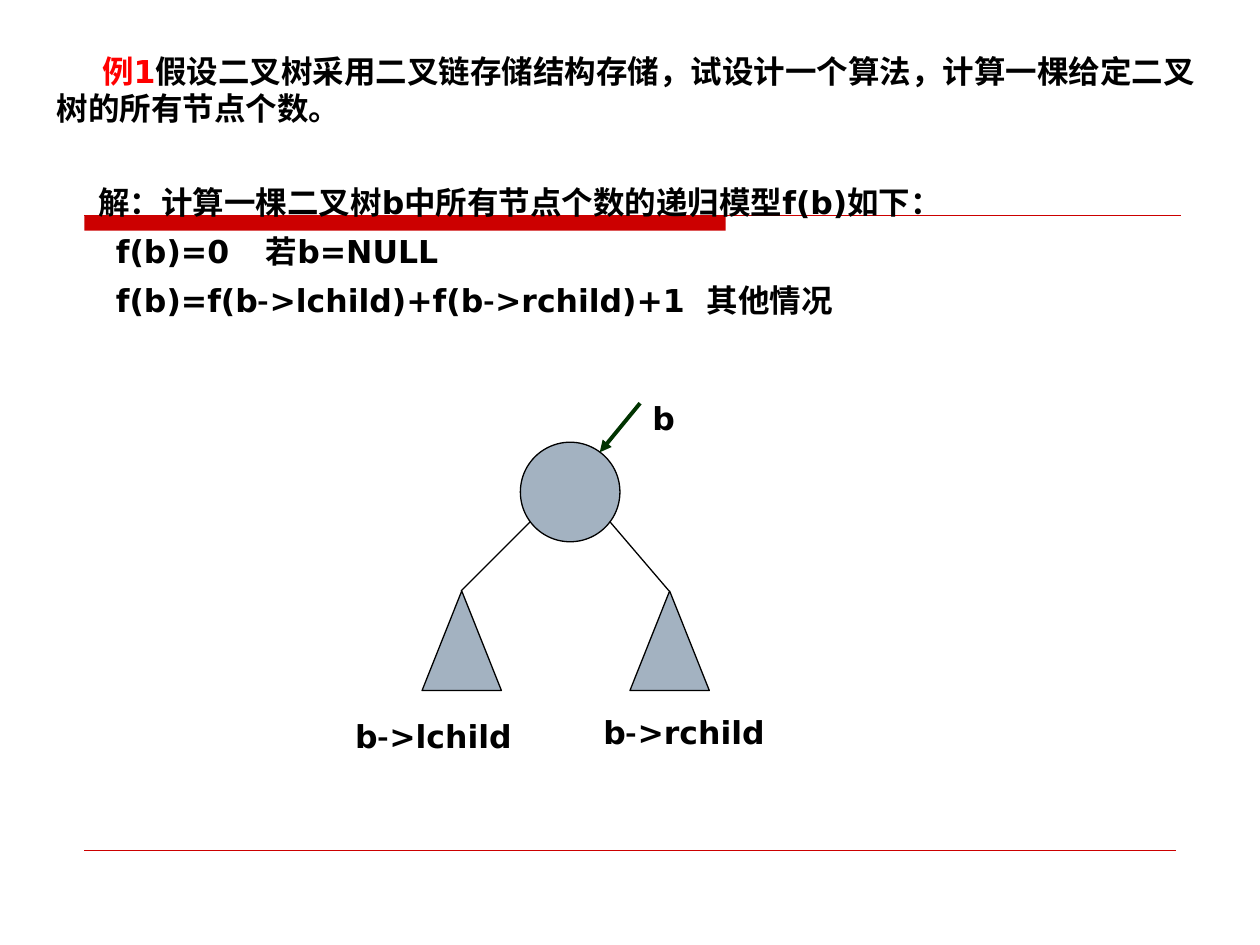
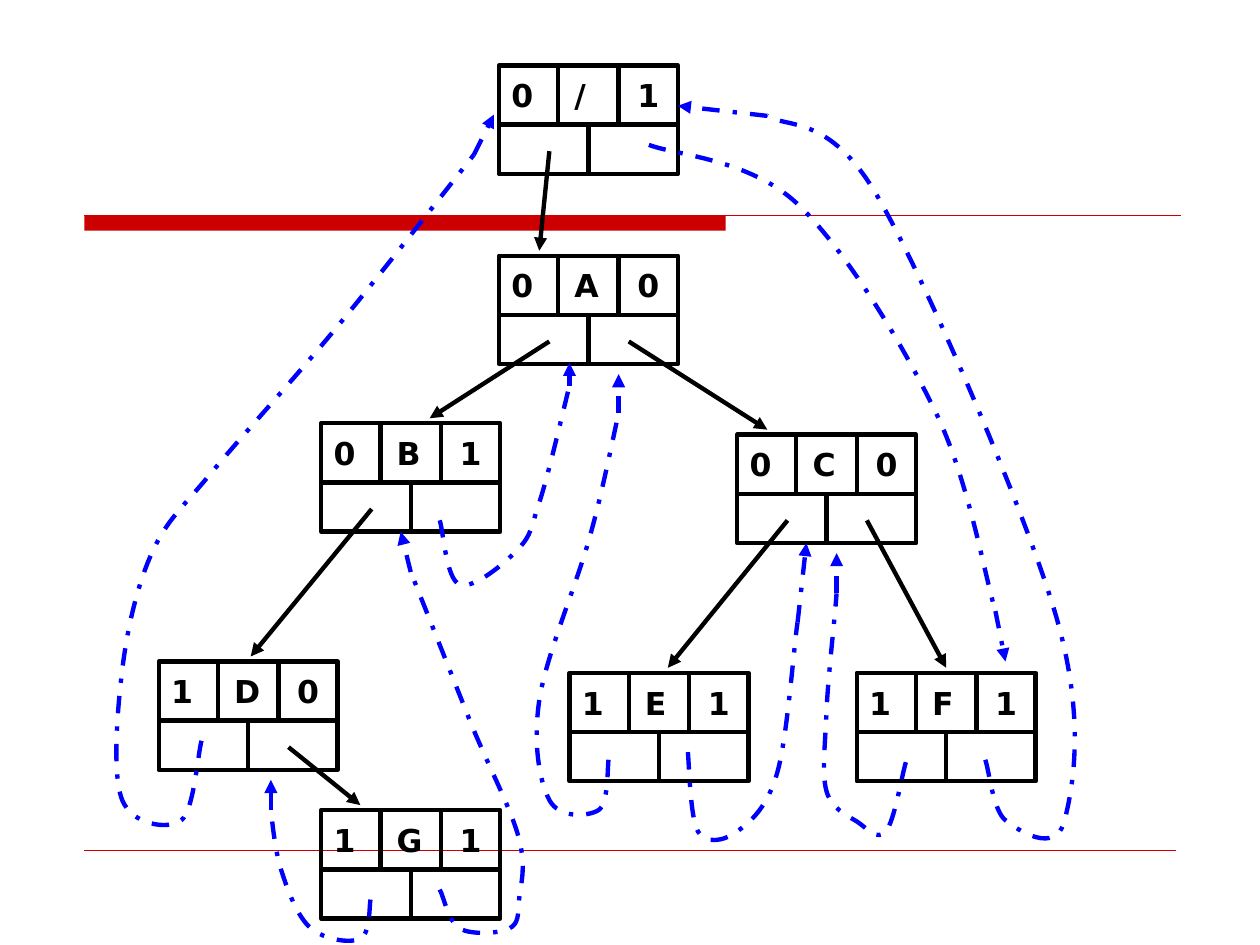
from lxml import etree
from pptx import Presentation
from pptx.dml.color import RGBColor
from pptx.enum.dml import MSO_LINE
from pptx.enum.shapes import MSO_CONNECTOR, MSO_SHAPE
from pptx.enum.text import MSO_ANCHOR, MSO_AUTO_SIZE, PP_ALIGN
from pptx.oxml.ns import qn
from pptx.util import Inches, Pt

STRAIGHT = MSO_CONNECTOR.STRAIGHT
RECT, OVAL = MSO_SHAPE.RECTANGLE, MSO_SHAPE.OVAL
TRIANGLE = MSO_SHAPE.ISOSCELES_TRIANGLE
TOP, MIDDLE = MSO_ANCHOR.TOP, MSO_ANCHOR.MIDDLE
LEFT, FIXED, DASH_DOT = PP_ALIGN.LEFT, MSO_AUTO_SIZE.NONE, MSO_LINE.DASH_DOT

# The slide is a grid of 1000 columns by 750 rows
U = Inches(0.01)
COLS, ROWS = 1000, 750
INK, RED, HIGHLIGHT = "000000", "CC0000", "FF0000"
STEEL, GREEN, BLUE = "A3B2C1", "003300", "0000FF"
FONT, HYPHEN_FONT = "DejaVu Sans", "Noto Sans CJK SC"
rgb = RGBColor.from_string


def write(p, text, color=INK, size=18, bold=True, indent=0, tabs=(), spacing=None):
    """Add text to a paragraph; the first call also formats the paragraph."""
    if not p.runs:
        pPr = p._p.get_or_add_pPr()
        pPr.set("marL", "0")
        pPr.set("indent", str(U * indent))
        etree.SubElement(pPr, qn("a:buNone"))
        if tabs:
            stops = etree.SubElement(pPr, qn("a:tabLst"))
            for tab in tabs:
                etree.SubElement(stops, qn("a:tab"), pos=str(U * tab), algn="l")
        p.alignment, p.space_before = LEFT, Pt(0)
        if spacing:
            p.line_spacing = spacing
    for part in text.replace("->", "|-|>").split("|"):
        r = p.add_run()
        r.text = part
        r.font.size, r.font.bold = Pt(size), bold
        r.font.color.rgb = rgb(color)
        r.font.name = HYPHEN_FONT if part == "-" else FONT
        etree.SubElement(r._r.get_or_add_rPr(), qn("a:ea"), typeface=r.font.name)


def style(sp, line=INK, width=2.5, fill=None, dash=None, arrow=False):
    """Set outline, fill, dash and arrowhead, without a shadow."""
    if hasattr(sp, "fill"):
        if fill:
            sp.fill.solid()
            sp.fill.fore_color.rgb = rgb(fill)
        else:
            sp.fill.background()
    if line:
        sp.line.color.rgb = rgb(line)
        sp.line.width = Pt(width)
    else:
        sp.line.fill.background()
    if dash:
        sp.line.dash_style = dash
    spPr = sp._element.spPr
    if arrow:
        etree.SubElement(spPr.find(qn("a:ln")), qn("a:tailEnd"), type="triangle")
    etree.SubElement(spPr, qn("a:effectLst"))


prs = Presentation()
prs.slide_width, prs.slide_height = U * COLS, U * ROWS

# Slide 1: the recursive model
s = prs.slides.add_slide(prs.slide_layouts[1])

# Shared red band and rules, moved to the master
band = s.shapes.add_shape(RECT, U * 67, U * 171, U * 509, U * 12)
style(band, line=None, fill=RED)
decor = [band]
for right, y, width in [(937, 171, 0.75), (933, 675, 0.25)]:
    rule = s.shapes.add_connector(STRAIGHT, U * 67, U * y, U * right, U * y)
    style(rule, RED, width)
    decor.append(rule)
for i, sp in enumerate(decor):
    sp._element.xpath(".//p:cNvPr")[0].set("id", str(20 + i))
    prs.slide_master.shapes._spTree.append(sp._element)

# Question and solution
title, body = s.placeholders
for sp, (x, y, w, h) in [(title, (35, 36, 937, 70)), (body, (51, 131, 913, 127))]:
    sp.left, sp.top, sp.width, sp.height = U * x, U * y, U * w, U * h
    tf = sp.text_frame
    tf.word_wrap, tf.auto_size, tf.vertical_anchor = True, FIXED, TOP
p = title.text_frame.paragraphs[0]
write(p, "例1", HIGHLIGHT, indent=36)
write(p, "假设二叉树采用二叉链存储结构存储，试设计一个算法，计算一棵给定二叉树的所有节点个数。")

solution = [
    ("解：计算一棵二叉树b中所有节点个数的递归模型f(b)如下：", 17),
    ("f(b)=0\t若b=NULL", 31),
    ("f(b)=f(b->lchild)+f(b->rchild)+1\t其他情况", 31),
]
tf = body.text_frame
for i, (text, indent) in enumerate(solution):
    p = tf.add_paragraph() if i else tf.paragraphs[0]
    write(p, text, indent=indent, tabs=[600], spacing=1.3)

# Root with its two subtrees
SIZE, SUBTREE_W, SUBTREE_Y = 79, 63, 469
root = s.shapes.add_shape(OVAL, U * 413, U * 351, U * SIZE, U * SIZE)
style(root, width=0.75, fill=STEEL)
for x, branch_x in [(335, 421), (500, 484)]:
    sp = s.shapes.add_shape(TRIANGLE, U * x, U * SUBTREE_Y, U * SUBTREE_W, U * SIZE)
    style(sp, width=0.75, fill=STEEL)
    apex = x + SUBTREE_W // 2
    branch = s.shapes.add_connector(STRAIGHT, U * branch_x, U * 414,
                                    U * apex, U * SUBTREE_Y)
    style(branch, width=0.75)
pointer = s.shapes.add_connector(STRAIGHT, U * 508, U * 320, U * 476, U * 359)
style(pointer, GREEN, 2.25, arrow=True)
for text, x, y, w in [("b", 508, 312, 63), ("b->lchild", 272, 564, 181),
                      ("b->rchild", 469, 561, 181)]:
    tf = s.shapes.add_textbox(U * x, U * y, U * w, U * 40).text_frame
    tf.word_wrap = True
    write(tf.paragraphs[0], text)

# Slide 2: the threaded tree
s = prs.slides.add_slide(prs.slide_layouts[6])
NODE_W, HEAD_H, FOOT_H = 142, 47, 39

# Nodes: left tag, data and right tag above two pointer cells
nodes = {
    "0/1": (396, 52), "0A0": (396, 203), "0B1": (255, 336), "0C0": (585, 345),
    "1D0": (126, 525), "1E1": (452, 534), "1F1": (680, 534), "1G1": (255, 643),
}
for name, (x, y) in nodes.items():
    for top, h, cells in [(y, HEAD_H, 3), (y + HEAD_H, FOOT_H, 2)]:
        box = s.shapes.add_shape(RECT, U * x, U * top, U * NODE_W, U * h)
        style(box)
        if cells == len(name):
            tf = box.text_frame
            tf.word_wrap, tf.vertical_anchor = True, MIDDLE
            tf.margin_left, tf.margin_right = U * 10, 0
            write(tf.paragraphs[0], "\t".join(name), tabs=[61, 107])
        for i in range(1, cells):
            col = U * round(x + NODE_W * i / cells)
            style(s.shapes.add_connector(STRAIGHT, col, U * top, col, U * (top + h)))

# Child pointers: parent, child, and the columns within each node
LEFT_CELL, RIGHT_CELL = 40, 103
children = [
    ("0/1", "0A0", LEFT_CELL, 32), ("0A0", "0B1", LEFT_CELL, 86),
    ("0A0", "0C0", RIGHT_CELL, 24), ("0B1", "1D0", LEFT_CELL, 73),
    ("0C0", "1E1", LEFT_CELL, 78), ("0C0", "1F1", RIGHT_CELL, 71),
    ("1D0", "1G1", RIGHT_CELL, 31),
]
for parent, child, start, end in children:
    (x1, y1), (x2, y2) = nodes[parent], nodes[child]
    sp = s.shapes.add_connector(STRAIGHT, U * (x1 + start), U * (y1 + 68),
                                U * (x2 + end), U * (y2 - 4))
    style(sp, arrow=True)

# Threads: knots of a smooth curve, then the tip of its arrow
threads = [
    # B to A
    [(349, 413), (365, 464), (412, 435), (428, 399), (452, 306), (452, 288)],
    # D to the head node
    [(160, 588), (144, 651), (97, 635), (97, 532), (121, 438), (168, 375),
     (263, 265), (376, 123), (392, 91)],
    # G to D
    [(294, 714), (286, 745), (247, 737), (223, 690), (215, 643), (215, 619)],
    # G to B
    [(349, 706), (365, 737), (404, 737), (412, 714), (412, 666), (373, 572),
     (326, 454), (318, 422)],
    # E to A
    [(483, 603), (475, 643), (436, 635), (428, 556), (467, 430), (491, 328),
     (491, 297)],
    # E to C
    [(546, 597), (554, 660), (585, 660), (617, 613), (633, 494), (640, 431)],
    # F to C
    [(719, 605), (703, 660), (680, 652), (656, 628), (656, 565), (664, 471),
     (664, 439)],
    # F to the head node
    [(782, 603), (798, 651), (845, 651), (837, 485), (696, 155), (609, 92),
     (538, 84)],
    # Head node to F
    [(515, 115), (633, 162), (743, 328), (790, 485), (798, 525)],
]
for *knots, tip in threads:
    # Each knot's tangent follows its neighbours
    padded = [knots[0], *knots, knots[-1]]
    pts = []
    for a, b, c, d in zip(padded, padded[1:], padded[2:], padded[3:]):
        pts.append([q + (r - p) / 6 for p, q, r in zip(a, b, c)])
        pts.append([q - (r - p) / 6 for p, q, r in zip(b, c, d)])
        pts.append(c)
    fb = s.shapes.build_freeform(*knots[0], scale=U)
    fb.add_line_segments(pts, close=False)
    curve = fb.convert_to_shape()
    # Turn every three straight segments into one cubic curve
    outline = curve._element.find(".//" + qn("a:path"))
    segments = outline.findall(qn("a:lnTo"))
    for i in range(0, len(segments), 3):
        cubic = etree.SubElement(outline, qn("a:cubicBezTo"))
        for segment in segments[i:i + 3]:
            cubic.append(segment[0])
            outline.remove(segment)
    style(curve, BLUE, dash=DASH_DOT)
    end = s.shapes.add_connector(STRAIGHT, *[U * v for v in knots[-1] + tip])
    style(end, BLUE, dash=DASH_DOT, arrow=True)

prs.save("out.pptx")
